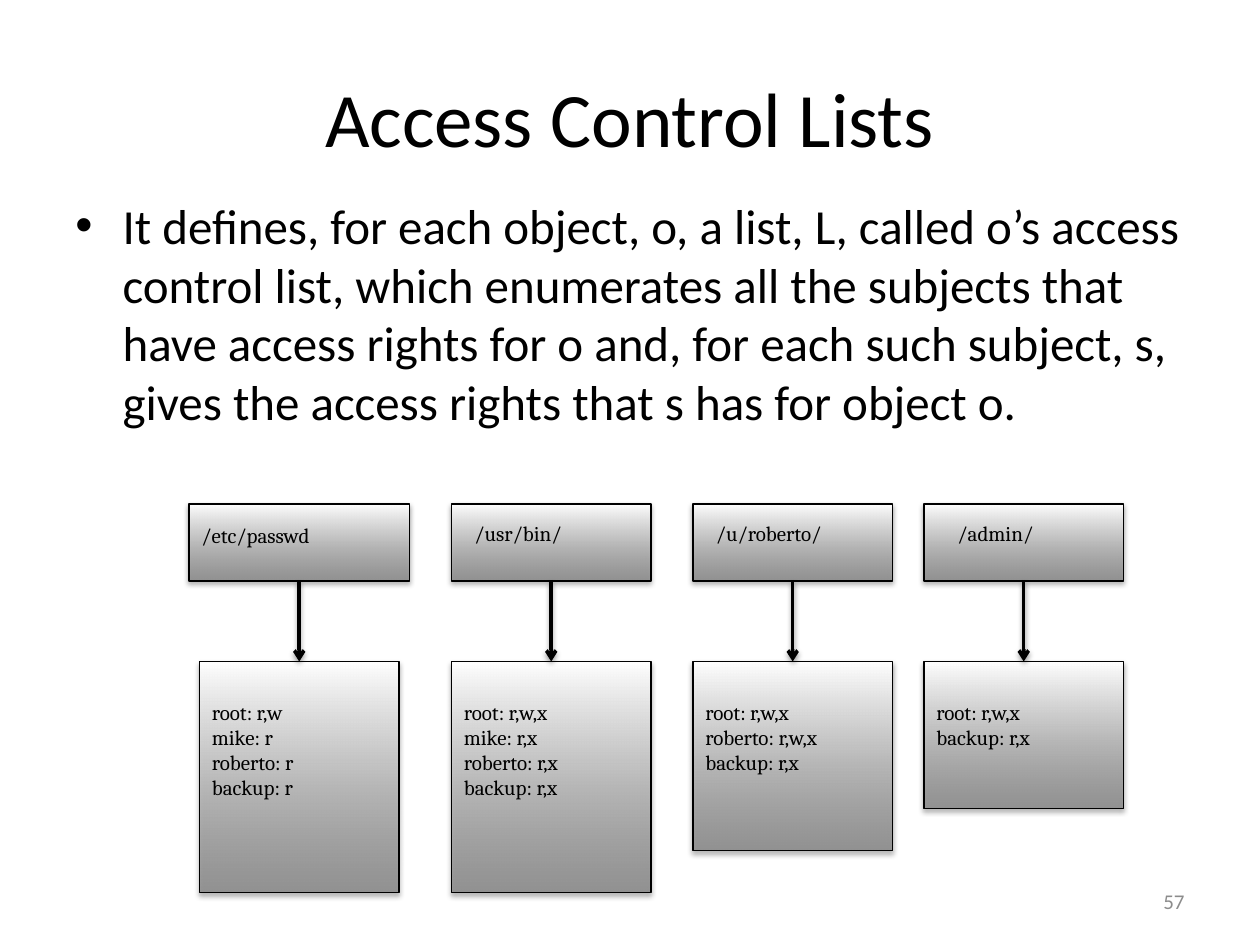
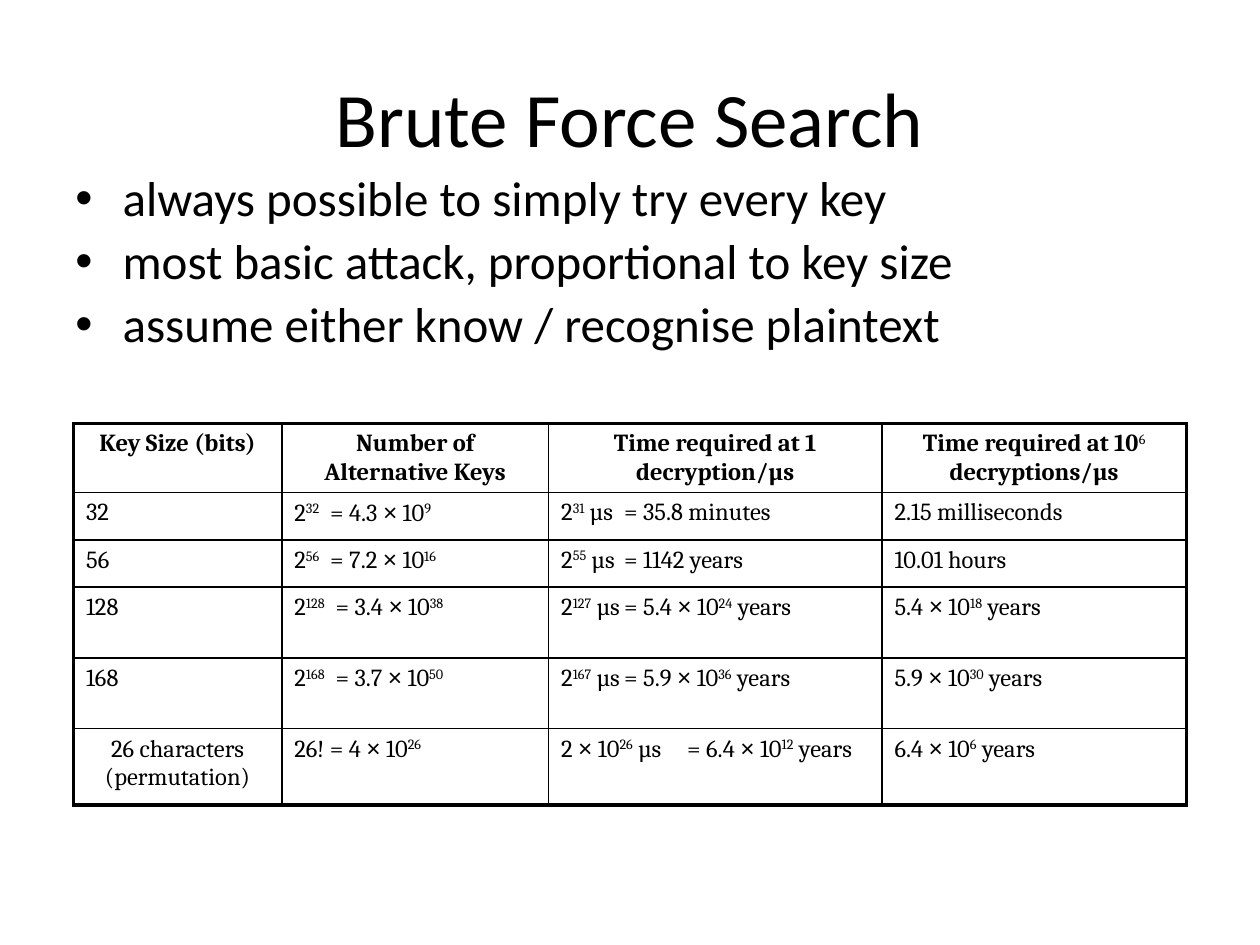
"""Builds two security slides: access control lists and brute force search."""
from dataclasses import dataclass
from itertools import groupby

from lxml import etree
from pptx import Presentation
from pptx.dml.color import RGBColor
from pptx.enum.shapes import MSO_CONNECTOR, MSO_SHAPE
from pptx.enum.text import MSO_ANCHOR, MSO_AUTO_SIZE, PP_ALIGN
from pptx.oxml import parse_xml
from pptx.oxml.ns import nsdecls, qn
from pptx.util import Pt

LEFT, MID, RIGHT = PP_ALIGN.LEFT, PP_ALIGN.CENTER, PP_ALIGN.RIGHT
TOP, CENTRE = MSO_ANCHOR.TOP, MSO_ANCHOR.MIDDLE
FIT, FIXED = MSO_AUTO_SIZE.SHAPE_TO_FIT_TEXT, MSO_AUTO_SIZE.NONE
RECT, LINE = MSO_SHAPE.RECTANGLE, MSO_CONNECTOR.STRAIGHT
SANS, SERIF, SIGN = "Calibri", "Cambria", "Arial"
BLACK, WHITE, GREY, PALE = "000000", "FFFFFF", "808080", "8C8C8C"
HEAD_TOP, HEAD_HIGH, LIST_TOP, LIST_WIDE = 288, 44, 378, 114
COLS = (119, 152.5, 190.5, 174)
ROWS = (39.5, 27, 27, 40.5, 40.5, 43.5)


@dataclass
class Entry:
    """An object and its access list."""
    name: str
    head: tuple[float, float]
    label: tuple[float, float, float]
    left: float
    high: float
    wide: float
    rights: list[str]


ENTRIES = [
    Entry("/etc/passwd", (108, 126), (108, 295, 121), 114, 132, 89,
          ["root: r,w", "mike: r", "roberto: r", "backup: r"]),
    Entry("/usr/bin/", (258, 114), (264, 294, 99), 258, 132, 102,
          ["root: r,w,x", "mike: r,x", "roberto: r,x", "backup: r,x"]),
    Entry("/u/roberto/", (396, 114), (402, 294, 97), 396, 108, 119,
          ["root: r,w,x", "roberto: r,w,x", "backup: r,x"]),
    Entry("/admin/", (528, 114), (540, 294, 74), 528, 84, 102,
          ["root: r,w,x", "backup: r,x"]),
]

KEYS = [
    ["Key Size (bits)", "Number of Alternative Keys",
     "Time required at 1 decryption/µs", "Time required at 10^6^ decryptions/µs"],
    ["32", "2^32^  = 4.3 × 10^9^", "2^31^ µs\t= 35.8 minutes", "2.15 milliseconds"],
    ["56", "2^56^  = 7.2 × 10^16^", "2^55^ µs\t= 1142 years", "10.01 hours"],
    ["128", "2^128^  = 3.4 × 10^38^", "2^127^ µs\t= 5.4 × 10^24^ years",
     "5.4 × 10^18^ years"],
    ["168", "2^168^  = 3.7 × 10^50^", "2^167^ µs\t= 5.9 × 10^36^ years",
     "5.9 × 10^30^ years"],
    ["26 characters (permutation)", "26! = 4 × 10^26^",
     "2 × 10^26^ µs\t= 6.4 × 10^12^ years", "6.4 × 10^6^ years"],
]


def tint(code: str) -> RGBColor:
    """Return the colour for a hex string."""
    return RGBColor.from_string(code)


def write(frame, lines: list[str], *, size: float, font: str = SANS, color: str = BLACK,
          bold: bool = False, align=LEFT, anchor=TOP, bullet: bool = False,
          space: float | None = None, gap: float = 0, after: float = 0) -> None:
    """Fill a text frame; carets enclose superscripts."""
    frame.vertical_anchor = anchor
    for i, line in enumerate(lines):
        para = frame.paragraphs[0] if i == 0 else frame.add_paragraph()
        para.alignment = align
        para.space_before, para.space_after = Pt(gap if i else 0), Pt(after)
        if space:
            para.line_spacing = space
        if bullet:
            props = para._p.get_or_add_pPr()
            props.set("marL", str(Pt(27)))
            props.set("indent", str(-Pt(27)))
            etree.SubElement(props, qn("a:buFont")).set("typeface", SIGN)
            etree.SubElement(props, qn("a:buChar")).set("char", "•")
        for j, part in enumerate(line.split("^")):
            for sign, chars in groupby(part, lambda c: c == "×"):
                run = para.add_run()
                run.text = "".join(chars)
                run.font.size, run.font.name = Pt(size), SIGN if sign else font
                run.font.bold = bold and j % 2 == 0
                run.font.color.rgb = tint(color)
                if j % 2:
                    run._r.get_or_add_rPr().set("baseline", "30000")


def text(slide, lines: list[str], left: float, top: float, wide: float, high: float,
         wrap: bool = True, **form) -> None:
    """Add a text box."""
    frame = slide.shapes.add_textbox(Pt(left), Pt(top), Pt(wide), Pt(high)).text_frame
    frame.word_wrap = wrap
    frame.auto_size = FIXED if wrap else FIT
    write(frame, lines, **form)


def shade(shape) -> None:
    """Give a shape or line a soft shadow below."""
    shape._element.spPr.append(parse_xml(
        f'<a:effectLst {nsdecls("a")}><a:outerShdw blurRad="{Pt(3.1)}" dist="{Pt(1.6)}" '
        f'dir="5400000" rotWithShape="0"><a:srgbClr val="{BLACK}"><a:alpha val="38000"/>'
        '</a:srgbClr></a:outerShdw></a:effectLst>'))


def panel(slide, left: float, top: float, wide: float, high: float) -> None:
    """Add a rectangle that fades from white down to grey."""
    box = slide.shapes.add_shape(RECT, Pt(left), Pt(top), Pt(wide), Pt(high))
    box.fill.gradient()
    box.fill.gradient_angle = 90
    for stop, code, place in zip(box.fill.gradient_stops, (GREY, WHITE), (0, 1)):
        stop.color.rgb, stop.position = tint(code), place
    first = box._element.spPr.xpath("a:gradFill//a:srgbClr")[0]
    etree.SubElement(first, qn("a:alpha")).set("val", "69000")
    box.line.color.rgb, box.line.width = tint(BLACK), Pt(0.75)
    shade(box)


def arrow(slide, x: float, top: float, end: float) -> None:
    """Add an arrow that points down."""
    link = slide.shapes.add_connector(LINE, Pt(x), Pt(top), Pt(x), Pt(end))
    link.line.color.rgb, link.line.width = tint(BLACK), Pt(2)
    etree.SubElement(link.line._get_or_add_ln(), qn("a:tailEnd")).set("type", "arrow")
    shade(link)


def draw(slide, entry: Entry) -> None:
    """Draw an object, its access list and the arrow between them."""
    left, wide = entry.head
    panel(slide, left, HEAD_TOP, wide, HEAD_HIGH)
    x, y, span = entry.label
    text(slide, [entry.name], x, y, span, 29, wrap=False, size=12, font=SERIF)
    panel(slide, entry.left, LIST_TOP, LIST_WIDE, entry.high)
    text(slide, entry.rights, entry.left, LIST_TOP + 18, entry.wide,
         7.6 + 21.6 * len(entry.rights), wrap=False, size=12, font=SERIF)
    arrow(slide, entry.left + LIST_WIDE / 2, HEAD_TOP + HEAD_HIGH, LIST_TOP)


def edge(cell, sides: dict[str, float]) -> None:
    """Set the border widths of a cell."""
    props = cell._tc.get_or_add_tcPr()
    for i, (side, width) in enumerate(sides.items()):
        props.insert(i, parse_xml(
            f'<a:ln{side} {nsdecls("a")} w="{Pt(width)}"><a:solidFill>'
            f'<a:srgbClr val="{BLACK}"/></a:solidFill></a:ln{side}>'))


def grid(slide, left: float, top: float) -> None:
    """Add the table of key sizes."""
    table = slide.shapes.add_table(len(ROWS), len(COLS), Pt(left), Pt(top),
                                   Pt(sum(COLS)), Pt(sum(ROWS))).table
    table.first_row = table.horz_banding = False
    for col, wide in zip(table.columns, COLS):
        col.width = Pt(wide)
    for row, high in zip(table.rows, ROWS):
        row.height = Pt(high)
    end, last = len(ROWS) - 1, len(COLS) - 1
    for r, values in enumerate(KEYS):
        for c, value in enumerate(values):
            cell = table.cell(r, c)
            cell.fill.background()
            outer = {"L": c == 0, "R": c == last, "T": r == 0, "B": r == end}
            edge(cell, {side: 2.25 if out else 1 for side, out in outer.items()})
            mid = r == 0 or (r == end and c == 0)
            write(cell.text_frame, [value], size=14, font=SERIF, bold=r == 0,
                  align=MID if mid else LEFT, after=3)


def start(deck, title: str):
    """Add a slide with its title."""
    slide = deck.slides.add_slide(deck.slide_layouts[5])
    head = slide.shapes.title
    head.left, head.top, head.width, head.height = Pt(36), Pt(21.6), Pt(648), Pt(90)
    write(head.text_frame, [title], size=44, align=MID, anchor=CENTRE)
    return slide


def main() -> None:
    """Build and save the deck."""
    deck = Presentation()
    deck.slide_width, deck.slide_height = Pt(720), Pt(540)

    slide = start(deck, "Access Control Lists")
    text(slide, ["It defines, for each object, o, a list, L, called o’s access control list, "
                 "which enumerates all the subjects that have access rights for o and, for "
                 "each such subject, s, gives the access rights that s has for object o."],
         36, 108, 648, 356, size=28, bullet=True)
    text(slide, ["57"], 516, 500.5, 168, 29, size=12, color=PALE, align=RIGHT, anchor=CENTRE)
    for entry in ENTRIES:
        draw(slide, entry)

    slide = start(deck, "Brute Force Search")
    text(slide, ["always possible to simply try every key",
                 "most basic attack, proportional to key size",
                 "assume either know / recognise plaintext"],
         36, 96, 648, 124, size=28, bullet=True, space=0.9, gap=5.6)
    grid(slide, 42, 242)
    deck.save("out.pptx")


if __name__ == "__main__":
    main()
